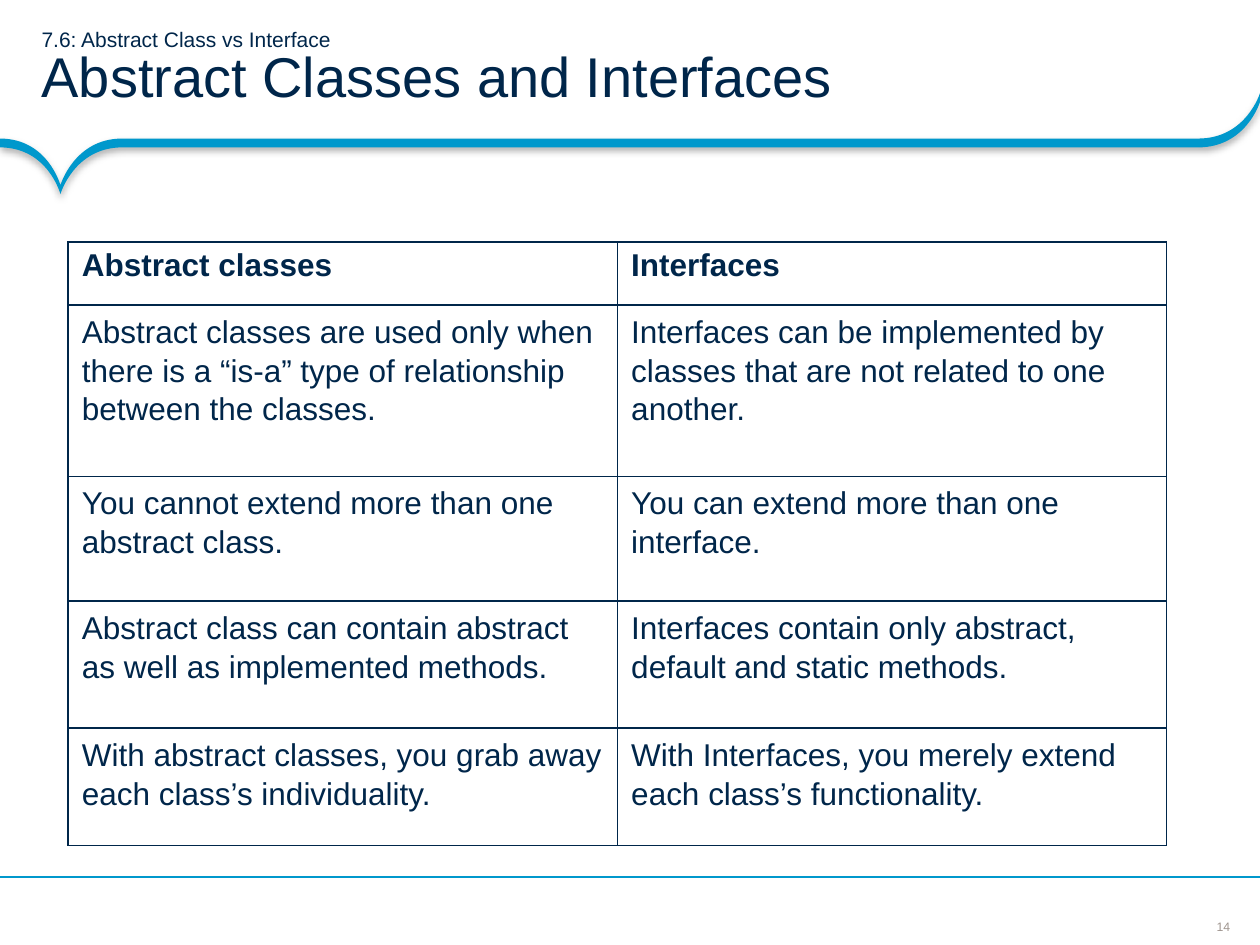
from lxml.etree import SubElement
from pptx import Presentation
from pptx.dml.color import RGBColor
from pptx.enum.shapes import MSO_CONNECTOR as Connector
from pptx.enum.text import MSO_ANCHOR as Anchor, MSO_AUTO_SIZE as AutoSize, PP_ALIGN as Align
from pptx.oxml.ns import qn
from pptx.util import Inches, Pt

NAVY, BLUE, GREY = "00264A", "0098CC", "9F958F"
WIDTH, HEIGHT = 10, 7.5

TITLE_LINES = [("7.6: Abstract Class vs Interface", 12),
               ("Abstract Classes and Interfaces", 32)]
PAGE_NUMBER = "14"
COMPARISON = [
    ("Abstract classes", "Interfaces"),
    ("Abstract classes are used only when there is a “is-a” type of relationship between the classes.",
     "Interfaces can be implemented by classes that are not related to one another."),
    ("You cannot extend more than one abstract class.",
     "You can extend more than one interface."),
    ("Abstract class can contain abstract as well as implemented methods.",
     "Interfaces contain only abstract, default and static methods."),
    ("With abstract classes, you grab away each class’s individuality.",
     "With Interfaces, you merely extend each class’s functionality."),
]
TABLE_LEFT, TABLE_TOP, COLUMN_WIDTH = 0.54, 1.92, 4.36
ROW_HEIGHTS = [0.5, 1.36, 0.99, 1.01, 0.93]

RIBBON_THICKNESS = 0.07
RIBBON_TOP_EDGE = [  # anchors and the two control points between each pair
    (0, 1.1), (0.38, 1.1), (0.48, 1.47),
    (0.48, 1.47), (0.48, 1.47), (0.59, 1.1),
    (0.97, 1.1), (0.97, 1.1), (9.51, 1.1),
    (9.51, 1.1), (9.89, 1.1), (10, 0.74), (10, 0.74),
]


def color(value):
    return RGBColor.from_string(value)


def set_attributes(target, values):
    for name, value in values.items():
        setattr(target, name, value)


def format_font(font, size, hex_color, bold=False):
    set_attributes(font, {"name": "Arial", "size": Pt(size), "bold": bold})
    font.color.rgb = color(hex_color)


def frame_format(anchor, left, top, right, bottom, wrap=True):
    return {"vertical_anchor": anchor, "word_wrap": wrap, "auto_size": AutoSize.NONE,
            "margin_left": Inches(left), "margin_top": Inches(top),
            "margin_right": Inches(right), "margin_bottom": Inches(bottom)}


def bend_segments(shape, controls):
    """Turn each straight segment into a curve; a None entry stays straight."""
    segments = list(shape.element.iter(qn("a:lnTo")))
    for segment, pair in zip(segments, controls):
        if pair is None:
            continue
        segment.tag
        curve = SubElement(segment.getparent(), qn("a:cubicBezTo"))
        for x, y in pair:
            SubElement(curve, qn("a:pt"), x=str(x - shape.left), y=str(y - shape.top))
        curve.append(segment[0])
        segment.getparent().replace(segment, curve)


def add_ribbon(slide):
    lower_edge = [(x, y + RIBBON_THICKNESS) for x, y in reversed(RIBBON_TOP_EDGE)]
    edges = [[(Inches(x), Inches(y)) for x, y in edge] for edge in (RIBBON_TOP_EDGE, lower_edge)]
    anchors = [point for edge in edges for point in edge[::3]]
    upper_controls, lower_controls = (
        [edge[i:i + 2] for i in range(1, len(edge) - 1, 3)] for edge in edges)
    builder = slide.shapes.build_freeform(*anchors[0])
    builder.add_line_segments(anchors[1:], close=True)
    ribbon = builder.convert_to_shape()
    bend_segments(ribbon, upper_controls + [None] + lower_controls)
    ribbon.fill.solid()
    ribbon.fill.fore_color.rgb = color(BLUE)
    ribbon.line.fill.background()
    ribbon.shadow.inherit = False
    effects = ribbon.element.spPr.find(qn("a:effectLst"))
    shadow = SubElement(effects, qn("a:outerShdw"), blurRad=str(Pt(4)), dist=str(Pt(2)),
                        dir="5400000", algn="t", rotWithShape="0")
    black = SubElement(shadow, qn("a:srgbClr"), val="000000")
    SubElement(black, qn("a:alpha"), val="31000")


def add_footer(slide):
    line_y = Inches(6.96)
    rule = slide.shapes.add_connector(Connector.STRAIGHT, Inches(WIDTH), line_y, 0, line_y)
    rule.line.color.rgb = color(BLUE)
    rule.line.width = Pt(0.75)
    SubElement(rule.element.spPr, qn("a:effectLst"))
    box = slide.shapes.add_textbox(Inches(9.65), Inches(7.29), Inches(0.12), Inches(0.12))
    set_attributes(box.text_frame, frame_format(Anchor.MIDDLE, 0, 0, 0, 0, wrap=False))
    paragraph = box.text_frame.paragraphs[0]
    paragraph.alignment = Align.CENTER
    paragraph.text = PAGE_NUMBER
    format_font(paragraph.runs[0].font, 7, GREY)


def fill_title(title):
    set_attributes(title, {"left": 0, "top": 0, "width": Inches(WIDTH), "height": Inches(1.1)})
    set_attributes(title.text_frame, frame_format(Anchor.MIDDLE, 0.33, 0.04, 0.18, 0.04))
    paragraph = title.text_frame.paragraphs[0]
    set_attributes(paragraph, {"alignment": Align.LEFT, "line_spacing": 0.85})
    paragraph.text = "\v".join(text for text, _ in TITLE_LINES)
    for run, (_, size) in zip(paragraph.runs, TITLE_LINES):
        format_font(run.font, size, NAVY)


def add_borders(cell):
    properties = cell._tc.get_or_add_tcPr()
    for side in ("lnL", "lnR", "lnT", "lnB"):
        border = SubElement(properties, qn(f"a:{side}"), w=str(Pt(1)))
        SubElement(SubElement(border, qn("a:solidFill")), qn("a:srgbClr"), val=NAVY)


def add_comparison(slide):
    columns = len(COMPARISON[0])
    table = slide.shapes.add_table(
        len(COMPARISON), columns, Inches(TABLE_LEFT), Inches(TABLE_TOP),
        Inches(columns * COLUMN_WIDTH), Inches(sum(ROW_HEIGHTS))).table
    set_attributes(table, {"first_row": False, "horz_banding": False})
    for column in table.columns:
        column.width = Inches(COLUMN_WIDTH)
    for row_index, (texts, height) in enumerate(zip(COMPARISON, ROW_HEIGHTS)):
        table.rows[row_index].height = Inches(height)
        is_header = row_index == 0
        for cell, text in zip(table.rows[row_index].cells, texts):
            add_borders(cell)
            cell.fill.background()
            set_attributes(cell, {"margin_left": Inches(0.11), "margin_right": Inches(0.11),
                                  "margin_top": Inches(0.05), "margin_bottom": Inches(0.05)})
            paragraph = cell.text_frame.paragraphs[0]
            paragraph.text = text
            paragraph.line_spacing = 1.0 if is_header else 1.1
            format_font(paragraph.runs[0].font, 18, NAVY, bold=is_header)


def main():
    presentation = Presentation()
    set_attributes(presentation, {"slide_width": Inches(WIDTH), "slide_height": Inches(HEIGHT)})
    slide = presentation.slides.add_slide(presentation.slide_layouts[5])
    fill_title(slide.shapes.title)
    add_ribbon(slide)
    add_footer(slide)
    add_comparison(slide)
    presentation.save("out.pptx")


if __name__ == "__main__":
    main()
